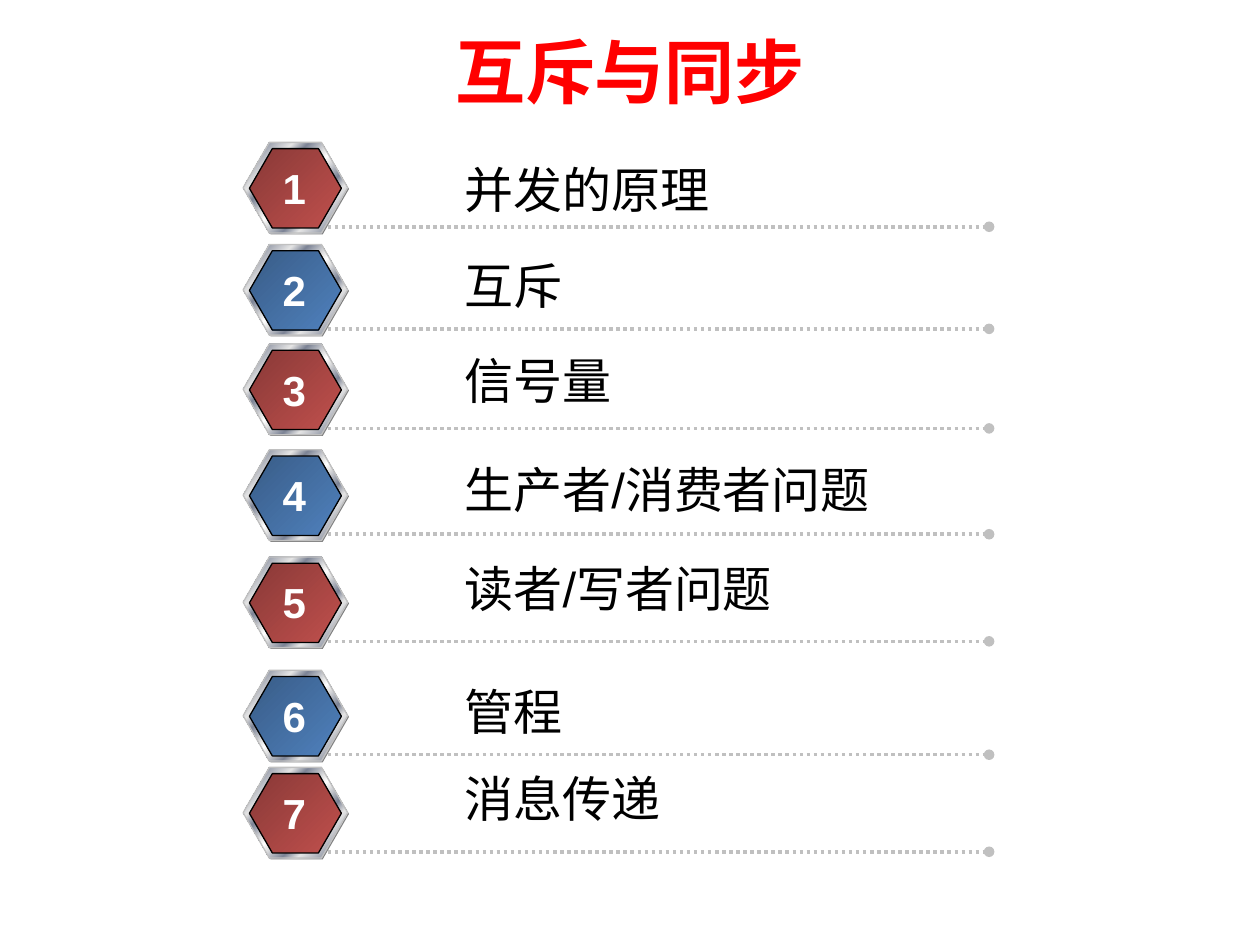
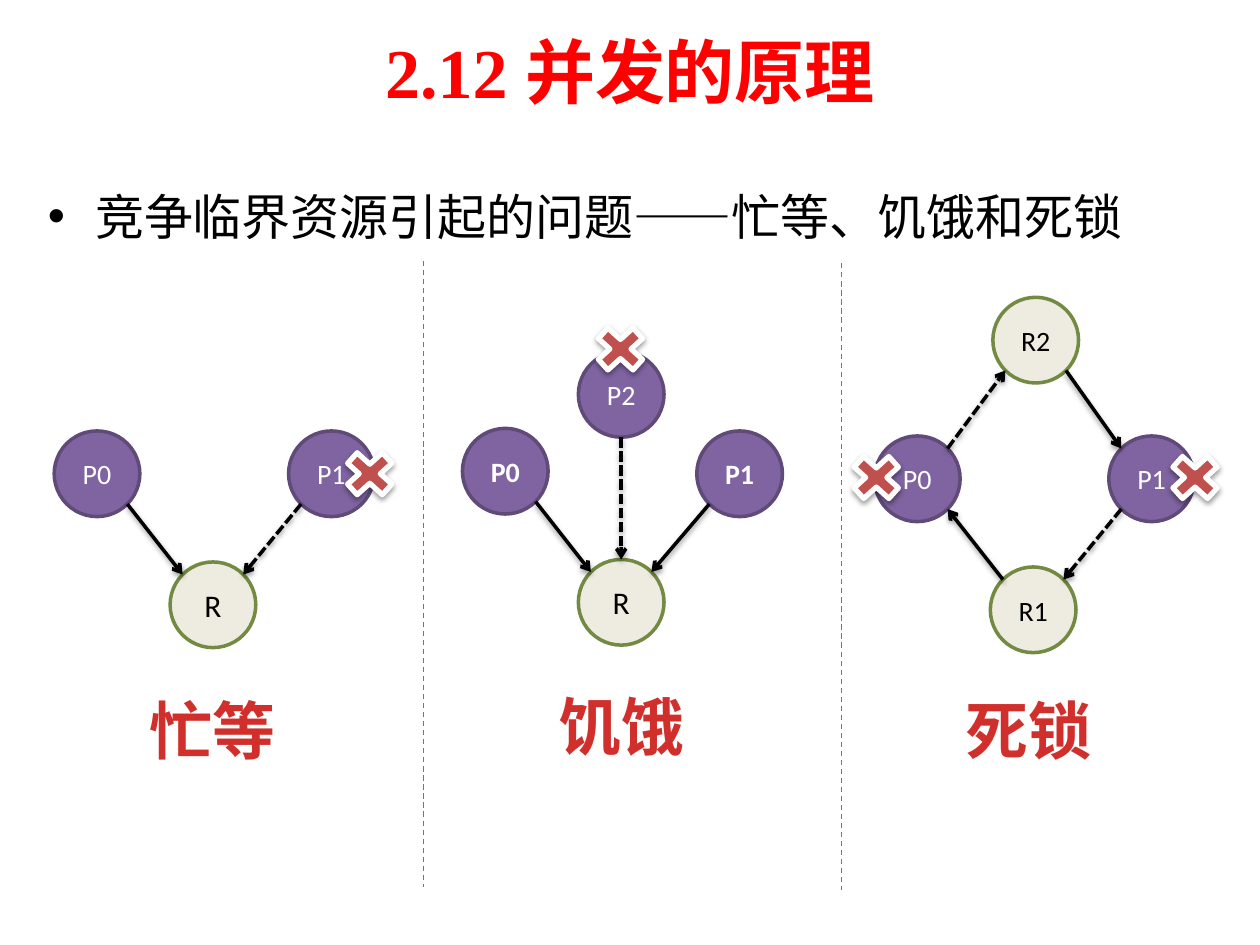
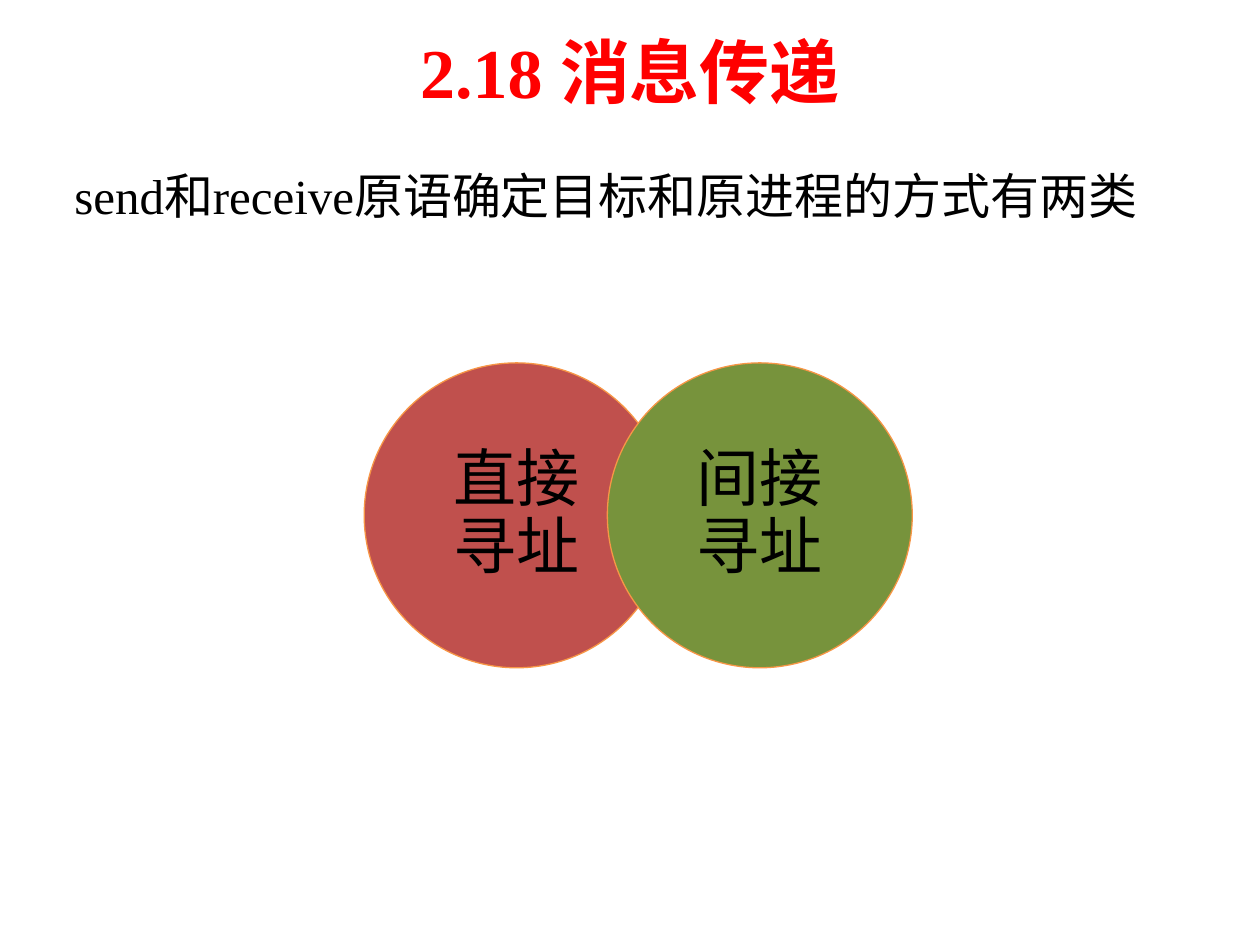
from math import hypot

from lxml import etree
from pptx import Presentation
from pptx import util as u
from pptx.dml.color import RGBColor
from pptx.enum import dml, shapes, text
from pptx.oxml.ns import qn

# Colours
BLACK = RGBColor(0x00, 0x00, 0x00)
WHITE = RGBColor(0xFF, 0xFF, 0xFF)
TITLE_RED = RGBColor(0xFF, 0x00, 0x00)
RED = RGBColor(0xC0, 0x50, 0x4D)
DARK_RED = RGBColor(0x89, 0x39, 0x37)
BLUE = RGBColor(0x4F, 0x81, 0xBD)
DARK_BLUE = RGBColor(0x39, 0x5C, 0x87)
GREEN = RGBColor(0x77, 0x93, 0x3C)
ORANGE = RGBColor(0xF7, 0x96, 0x46)
GREY = RGBColor(0x80, 0x80, 0x80)
SILVER = RGBColor(0xC0, 0xC0, 0xC0)
PURPLE = RGBColor(0x80, 0x64, 0xA2)
DARK_PURPLE = RGBColor(0x5F, 0x4A, 0x78)
IVORY = RGBColor(0xEE, 0xEC, 0xE1)
OLIVE = RGBColor(0x73, 0x8A, 0x42)
DIVIDER_BLUE = RGBColor(0x4B, 0x7E, 0xBC)
LIGHT_STEEL = RGBColor(0xE6, 0xE6, 0xE6)
DARK_STEEL = RGBColor(0x7D, 0x84, 0x96)

# Gradients: (position in percent, colour)
STEEL = [(0, LIGHT_STEEL), (8, DARK_STEEL), (26, LIGHT_STEEL), (34, DARK_STEEL),
         (46, LIGHT_STEEL), (50, WHITE), (54, LIGHT_STEEL), (66, DARK_STEEL),
         (74, LIGHT_STEEL), (92, DARK_STEEL), (100, LIGHT_STEEL)]
RED_BADGE = [(0, DARK_RED), (100, RED)]
BLUE_BADGE = [(0, DARK_BLUE), (100, BLUE)]
CAPTION_REDS = [(0, RGBColor(0xFC, 0x7C, 0x7A)), (75, RGBColor(0xD0, 0x2F, 0x2C)),
                (100, RGBColor(0xC7, 0x05, 0x00))]

SERIF, SANS, LABEL = "Times New Roman", "Arial", "Calibri"
NODE = 0.68
TITLE_ONLY, TITLE_AND_BODY = 5, 1


def paint(fill, parent, paint_with, angle=45):
    """Fill with one colour, or with a list of gradient stops."""
    if isinstance(paint_with, RGBColor):
        fill.solid()
        fill.fore_color.rgb = paint_with
        return
    fill.gradient()
    fill.gradient_angle = 360 - angle
    stops = parent.find(".//" + qn("a:gsLst"))
    for stop in list(stops):
        stops.remove(stop)
    for position, colour in paint_with:
        stop = etree.SubElement(stops, qn("a:gs"), pos=str(position * 1000))
        etree.SubElement(stop, qn("a:srgbClr"), val=str(colour))


def set_effects(shape, shadow):
    """Replace the theme's effects by a soft shadow or by none."""
    properties = shape._element.spPr
    effects = etree.SubElement(properties, qn("a:effectLst"))
    if shadow:
        outer = etree.SubElement(effects, qn("a:outerShdw"), blurRad=str(u.Pt(3.1)),
                                 dist=str(u.Pt(1.6)), dir="5400000", rotWithShape="0")
        colour = etree.SubElement(outer, qn("a:srgbClr"), val=str(BLACK))
        etree.SubElement(colour, qn("a:alpha"), val="38000")


def write(frame, words, *, size, font, color=BLACK, bold=False, align=None,
          anchor=text.MSO_ANCHOR.TOP, wrap=True, fit=False, inset=None,
          spacing=None, after=None):
    """Put one formatted paragraph into a text frame."""
    frame.word_wrap = wrap
    frame.vertical_anchor = anchor
    frame.auto_size = (text.MSO_AUTO_SIZE.SHAPE_TO_FIT_TEXT if fit
                       else text.MSO_AUTO_SIZE.NONE)
    if inset is not None:
        frame.margin_left = frame.margin_right = u.Inches(inset)
    paragraph = frame.paragraphs[0]
    paragraph.alignment = align
    paragraph.space_before = u.Pt(0)
    if spacing:
        paragraph.line_spacing = spacing
    if after is not None:
        paragraph.space_after = u.Pt(after)
    run = paragraph.add_run()
    run.text = words
    run.font.size, run.font.name, run.font.bold = u.Pt(size), font, bold
    paint(run.font.fill, run._r, color, angle=90)
    return paragraph


class Deck:
    """Holds the shared style and the current slide."""

    def __init__(self):
        self.deck = Presentation()
        self.deck.slide_width, self.deck.slide_height = u.Inches(10), u.Inches(7.5)
        self.slide = None

    def new_slide(self, title, layout):
        self.slide = self.deck.slides.add_slide(self.deck.slide_layouts[layout])
        heading = self.slide.shapes.title
        self.place(heading, 0.5, 0.05, 9, 1.02)
        write(heading.text_frame, title, size=40, font=SERIF, color=TITLE_RED, bold=True,
              align=text.PP_ALIGN.CENTER, anchor=text.MSO_ANCHOR.MIDDLE)

    @staticmethod
    def place(shape, left, top, width, height):
        shape.left, shape.top = u.Inches(left), u.Inches(top)
        shape.width, shape.height = u.Inches(width), u.Inches(height)

    def body(self, words, left, top, width, height, bullet=True):
        statement = self.slide.placeholders[1]
        self.place(statement, left, top, width, height)
        paragraph = write(statement.text_frame, words, size=28, font=SERIF, spacing=1.25)
        if not bullet:
            properties = paragraph._p.get_or_add_pPr()
            properties.set("marL", "0")
            properties.set("indent", "0")
            etree.SubElement(properties, qn("a:buNone"))

    def text(self, words, left, top, width, height, **style):
        box = self.slide.shapes.add_textbox(*map(u.Inches, (left, top, width, height)))
        write(box.text_frame, words, fit=True, **style)

    def shape(self, preset, left, top, width, height, fill, line=None, weight=0.75,
              shadow=False):
        shape = self.slide.shapes.add_shape(
            preset, *map(u.Inches, (left, top, width, height)))
        paint(shape.fill, shape._element.spPr, fill)
        if line is None:
            shape.line.fill.background()
        else:
            shape.line.color.rgb = line
            shape.line.width = u.Pt(weight)
        set_effects(shape, shadow)
        return shape

    def line(self, start, end, color, weight, dash=None, tip=None, shadow=False):
        line = self.slide.shapes.add_connector(
            shapes.MSO_CONNECTOR.STRAIGHT, *map(u.Inches, (*start, *end)))
        line.line.color.rgb = color
        line.line.width = u.Pt(weight)
        if dash:
            line.line.dash_style = dash
        if tip:
            etree.SubElement(line.line._get_or_add_ln(), qn("a:tailEnd"), type=tip)
        set_effects(line, shadow)

    def hexagon(self, left, top, width, height, fill, line=None):
        badge = self.shape(shapes.MSO_SHAPE.HEXAGON, left, top, width, height, fill, line)
        badge.adjustments[0] = 0.289

    def agenda_row(self, number, top, topic, topic_top):
        self.hexagon(1.94, top + 0.01, 0.83, 0.72, GREY)
        self.hexagon(1.93, top, 0.83, 0.72, STEEL, SILVER)
        self.hexagon(1.98, top + 0.05, 0.73, 0.63,
                     RED_BADGE if number % 2 else BLUE_BADGE, BLACK)
        self.line((2.6, top + 0.67), (7.85, top + 0.67), SILVER, 2,
                  dml.MSO_LINE.ROUND_DOT, tip="oval")
        self.text(topic, 3.59, topic_top, 4.64, 0.57, size=28, font=SANS)
        self.text(str(number), 2.14, top + 0.11, 0.39, 0.5, size=24, font=SANS,
                  color=WHITE, bold=True, align=text.PP_ALIGN.CENTER, wrap=False)

    def node(self, label, left, top, bold):
        process = label.startswith("P")
        circle = self.shape(shapes.MSO_SHAPE.FLOWCHART_CONNECTOR, left, top, NODE, NODE,
                            PURPLE if process else IVORY,
                            DARK_PURPLE if process else OLIVE, 2)
        write(circle.text_frame, label, size=18 if label == "R" else 16, font=LABEL,
              color=WHITE if process else BLACK, bold=bold, inset=0.04,
              align=text.PP_ALIGN.CENTER, anchor=text.MSO_ANCHOR.MIDDLE)

    def edge(self, source, target, waiting):
        """Join two nodes at their facing upright or diagonal points."""
        signs = [(b > a) - (b < a) for a, b in zip(source, target)]
        reach = [NODE / 2 * sign / hypot(*signs) for sign in signs]
        start = [a + NODE / 2 + r for a, r in zip(source, reach)]
        end = [b + NODE / 2 - r for b, r in zip(target, reach)]
        self.line(start, end, BLACK, 2, dml.MSO_LINE.SQUARE_DOT if waiting else None,
                  tip="arrow", shadow=True)

    def cross(self, left, top):
        self.shape(shapes.MSO_SHAPE.MATH_MULTIPLY, left, top, 0.53, 0.48, RED, WHITE, 3,
                   shadow=True)

    def resource_graph(self, caption, caption_at, nodes, edges, crosses, bold=()):
        for label, corner in nodes.items():
            self.node(label, *corner, bold=label in bold)
        for source, target, waiting in edges:
            self.edge(nodes[source], nodes[target], waiting)
        for corner in crosses:
            self.cross(*corner)
        self.text(caption, *caption_at, 1.22, 0.71, size=36, font=SANS, bold=True,
                  color=CAPTION_REDS, align=text.PP_ALIGN.CENTER, wrap=False)

    def addressing_circle(self, words, left, fill):
        circle = self.shape(shapes.MSO_SHAPE.OVAL, left, 2.88, 2.42, 2.42, fill, ORANGE)
        write(circle.text_frame, words, size=36, font=LABEL, inset=0.13, spacing=0.9,
              after=12.6, align=text.PP_ALIGN.CENTER, anchor=text.MSO_ANCHOR.MIDDLE)


# Content: (badge top, topic, topic top)
AGENDA = [
    (1.13, "并发的原理", 1.22),
    (1.94, "互斥", 1.98),
    (2.73, "信号量", 2.73),
    (3.57, "生产者/消费者问题", 3.6),
    (4.42, "读者/写者问题", 4.38),
    (5.32, "管程", 5.36),
    (6.09, "消息传递", 6.05),
]

# Edges: (source, target, whether it is still waiting)
GRAPHS = [
    dict(caption="忙等", caption_at=(1.08, 5.44),
         nodes={"R": (1.35, 4.46), "P0": (0.43, 3.42), "P1": (2.29, 3.42)},
         edges=[("P0", "R", False), ("P1", "R", True)],
         crosses=[(2.67, 3.52)]),
    dict(caption="饥饿", caption_at=(4.32, 5.41),
         nodes={"R": (4.59, 4.44), "P0": (3.67, 3.4), "P2": (4.59, 2.79),
                "P1": (5.53, 3.42)},
         edges=[("P0", "R", False), ("P2", "R", True), ("P1", "R", False)],
         crosses=[(4.66, 2.53)], bold=("P0", "P1")),
    dict(caption="死锁", caption_at=(7.55, 5.44),
         nodes={"R1": (7.86, 4.5), "P0": (6.94, 3.46), "P1": (8.8, 3.46),
                "R2": (7.88, 2.36)},
         edges=[("R1", "P0", False), ("P1", "R1", True), ("R2", "P1", False),
                ("P0", "R2", True)],
         crosses=[(6.69, 3.55), (9.22, 3.55)]),
]


def main():
    deck = Deck()

    # Agenda
    deck.new_slide("互斥与同步", TITLE_ONLY)
    for number, (top, topic, topic_top) in enumerate(AGENDA, 1):
        deck.agenda_row(number, top, topic, topic_top)

    # Busy waiting, starvation and deadlock
    deck.new_slide("2.12 并发的原理", TITLE_AND_BODY)
    deck.body("竞争临界资源引起的问题——忙等、饥饿和死锁", 0.28, 1.31, 9, 4.95)
    for left, top in ((3.36, 2.07), (6.68, 2.09)):
        deck.line((left, top), (left, top + 4.97), DIVIDER_BLUE, 0.75, dml.MSO_LINE.DASH)
    for graph in GRAPHS:
        deck.resource_graph(**graph)

    # Message addressing
    deck.new_slide("2.18 消息传递", TITLE_AND_BODY)
    deck.body("send和receive原语确定目标和原进程的方式有两类", 0.49, 1.15, 9.16, 1.24,
              bullet=False)
    deck.addressing_circle("直接寻址", 2.89, RED)
    deck.addressing_circle("间接寻址", 4.82, GREEN)

    deck.deck.save("out.pptx")


if __name__ == "__main__":
    main()
